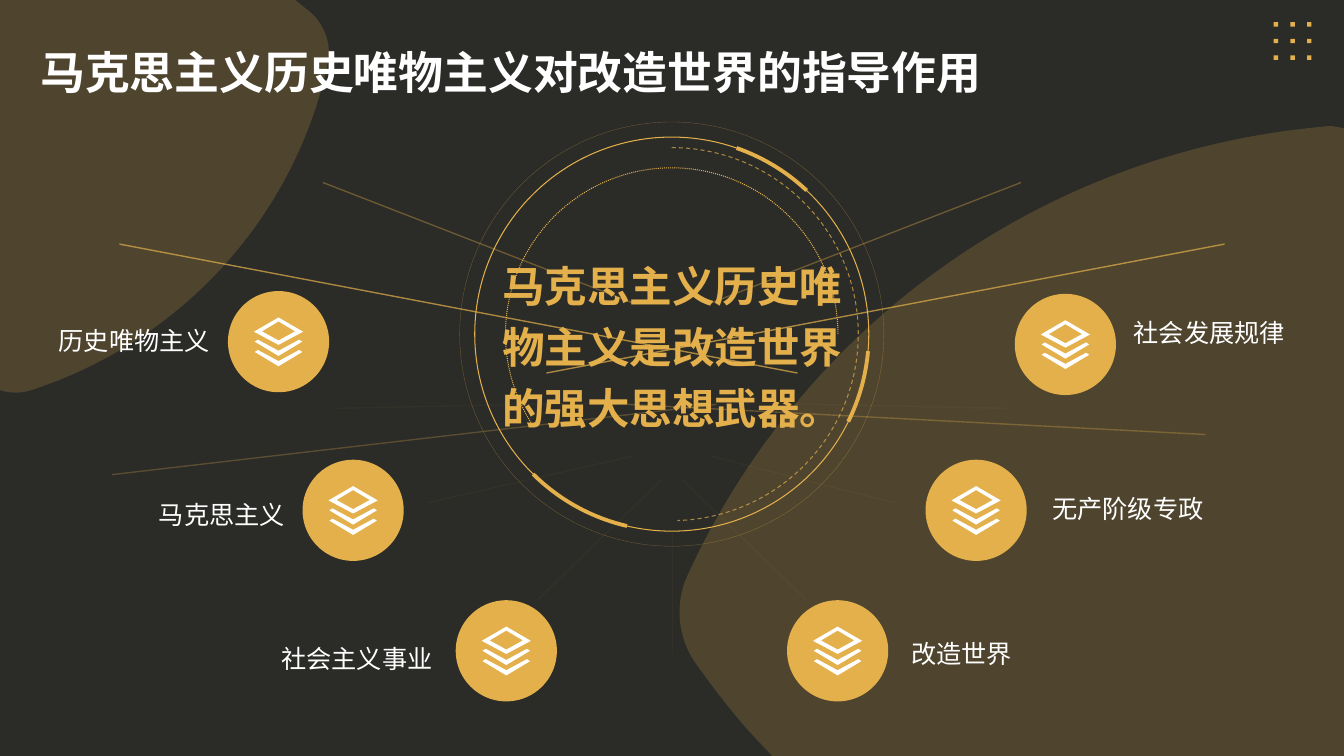
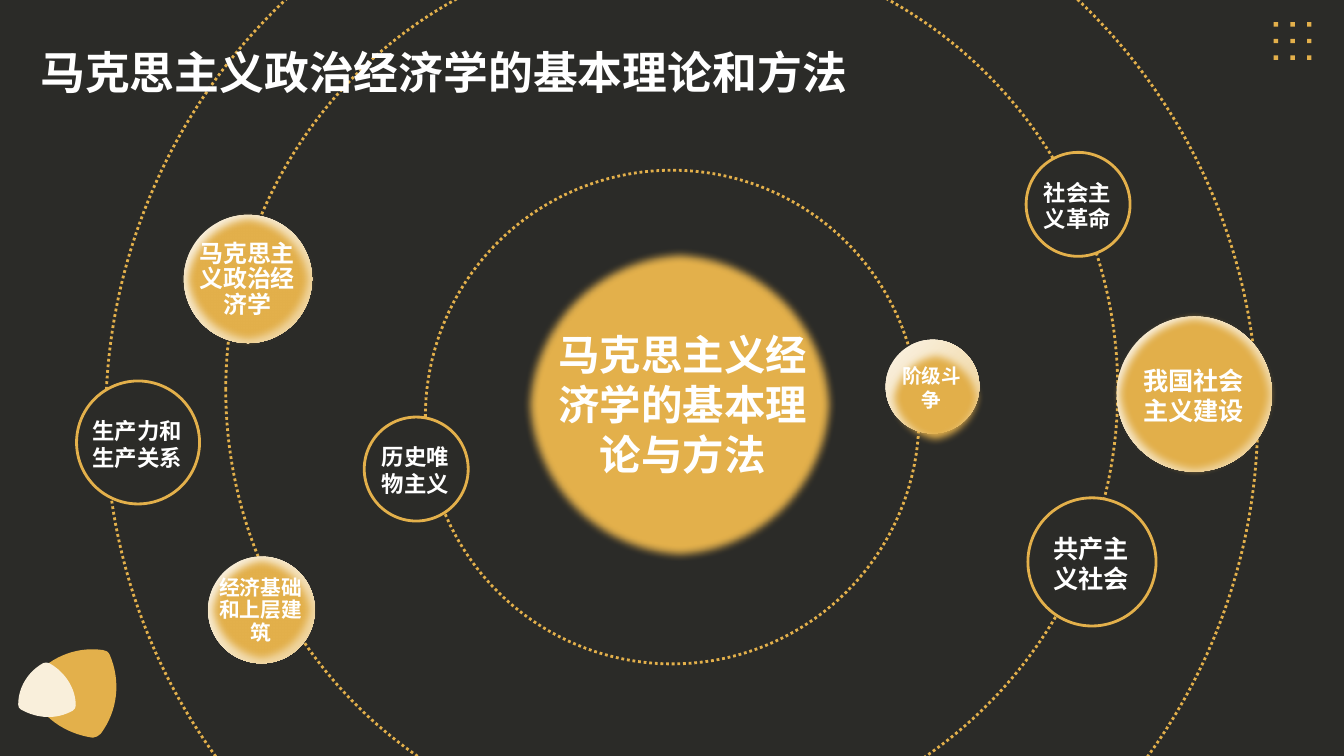
from lxml import etree
from pptx import Presentation
from pptx.dml.color import RGBColor
from pptx.enum.dml import MSO_LINE
from pptx.enum.shapes import MSO_CONNECTOR, MSO_SHAPE
from pptx.enum.text import MSO_ANCHOR, MSO_AUTO_SIZE, PP_ALIGN
from pptx.oxml.ns import qn
from pptx.util import Cm, Pt

ELLIPSE, ARC = MSO_SHAPE.OVAL, MSO_SHAPE.ARC
STRAIGHT = MSO_CONNECTOR.STRAIGHT
DOTTED, DASHED = MSO_LINE.ROUND_DOT, MSO_LINE.DASH
LEFT, CENTER, RIGHT = PP_ALIGN.LEFT, PP_ALIGN.CENTER, PP_ALIGN.RIGHT

FONT = "Noto Sans CJK SC"
COLORS = {
    "dark": "2B2B28",
    "gold": "E3B04B",
    "cream": "F9EFDB",
    "sand": "EED093",
    "white": "FFFFFF",
}
WIDTH, HEIGHT = 33.87, 19.05
SOFT_EDGE = 6

GUIDANCE_TITLE = "马克思主义历史唯物主义对改造世界的指导作用"
GUIDANCE_CORE = "马克思主义历史唯物主义是改造世界的强大思想武器。"
BLOBS = [
    [(0, 0), (7.44, 0), (7.85, 0.33), (8.2, 0.66, 8.36, 1.14, 8.26, 1.6),
     (7.42, 5.49, 4.55, 8.61, 0.79, 9.83), (0.56, 9.91, 0.3, 9.91, 0.1, 9.86), (0, 9.83)],
    [(33.58, 3.18), (WIDTH, 3.23), (WIDTH, HEIGHT), (19.46, HEIGHT), (19.18, 18.75),
     (18.59, 18.14, 18.06, 17.45, 17.55, 16.74), (17.07, 16.08, 16.99, 15.19, 17.35, 14.45),
     (20.27, 8.13, 26.34, 3.84, 33.27, 3.2), (33.38, 3.18, 33.48, 3.18, 33.58, 3.18)],
]
DIAL_CENTER = (16.93, 8.42)
DIAL = [
    (8.38, (88.28, 0), 0.75, DOTTED, 100),
    (10.69, None, 0.25, None, 36),
    (9.4, (161.98, 52.95), 0.75, DASHED, 70),
    (9.93, None, 0.75, None, 100),
    (9.93, (173.53, 187.92), 2.75, None, 100),
    (9.93, (2.98, 15.83), 2.75, None, 100),
    (9.93, (61.88, 80.83), 2.75, None, 100),
]
MIRRORED_RAYS = [
    (17.88, 7.65, 25.73, 4.6, 35),
    (13.77, 9.4, 30.86, 6.15, 70),
    (19.05, 10.16, 25.35, 10.29, 3),
    (17.2, 12.09, 20.32, 15.11, 3),
]
SINGLE_RAYS = [
    (18.06, 10.19, 2.82, 11.96, 25),
    (15.82, 10.19, 30.38, 10.95, 30),
    (16, 11.48, 10.77, 12.67, 3),
    (17.86, 11.48, 22.53, 12.67, 3),
    (16.94, 13.44, 16.94, 16.48, 3),
]
LABEL_WIDTH, LABEL_HEIGHT = 4.6, 1.17
TOPICS = [
    ("历史唯物主义", 7.02, 8.61, RIGHT, 5.54, 8.0),
    ("马克思主义", 8.9, 12.86, RIGHT, 7.43, 12.37),
    ("社会主义事业", 12.76, 16.4, RIGHT, 11.15, 16.0),
    ("改造世界", 21.11, 16.4, LEFT, 22.71, 15.88),
    ("无产阶级专政", 24.6, 12.86, LEFT, 26.27, 12.22),
    ("社会发展规律", 26.85, 8.68, LEFT, 28.32, 7.8),
]
CHEVRON = [(0.52, -0.05), (0.6, 0), (0, 0.36), (-0.6, 0), (-0.52, -0.05), (0, 0.23)]
LAYERS = [
    [(x, y + 0.26) for x, y in CHEVRON],
    CHEVRON,
    [(0, -0.61), (0.62, -0.25), (0, 0.08), (-0.62, -0.25)],
    [(0, -0.51), (-0.42, -0.26), (0, -0.03), (0.42, -0.26)],
]

ECONOMY_TITLE = "马克思主义政治经济学的基本理论和方法"
ECONOMY_CORE = "马克思主义经济学的基本理论与方法"
ORBITS = [(16.93, 9.82, 22.48), (16.94, 10.51, 12.44), (17.18, 10.53, 29.03)]
OUTLINED_PLANETS = [
    ("共产主义社会", 27.52, 14.16, 3.23, 18),
    ("历史唯物主义", 10.49, 11.82, 2.62, 16),
    ("社会主义革命", 27.17, 5.15, 2.62, 16),
    ("生产力和生产关系", 3.48, 11.15, 3.1, 16),
]
GLOWING_PLANETS = [
    ("马克思主义政治经济学", 6.25, 7.03, 3.23, 17.1, 0.9, (0, 0)),
    ("阶级斗争", 23.5, 9.74, 2.36, 14, 1, (0.08, 0.28)),
    ("经济基础和上层建筑", 6.59, 15.37, 2.69, 14.8, 0.9, (0, 0)),
    ("我国社会主义建设", 30.1, 9.93, 3.91, 18, 1, (0, 0)),
]
PETALS = [
    ("gold", [(2.77, 16.51), (3.05, 17.17, 2.97, 17.91, 2.54, 18.49),
              (2.49, 18.54, 2.41, 18.59, 2.34, 18.59), (1.63, 18.49, 1.02, 18.06, 0.74, 17.4),
              (0.71, 17.32, 0.71, 17.22, 0.76, 17.17), (1.19, 16.59, 1.88, 16.28, 2.59, 16.38),
              (2.67, 16.38, 2.74, 16.43, 2.77, 16.51)]),
    ("cream", [(1.24, 16.71), (1.65, 16.94, 1.91, 17.35, 1.91, 17.78),
               (1.91, 17.83, 1.88, 17.88, 1.83, 17.91), (1.42, 18.14, 0.94, 18.11, 0.53, 17.88),
               (0.48, 17.86, 0.46, 17.81, 0.46, 17.75), (0.46, 17.32, 0.71, 16.92, 1.09, 16.71),
               (1.14, 16.69, 1.19, 16.69, 1.24, 16.71)]),
]


def color(name):
    return RGBColor.from_string(COLORS[name])


def set_alpha(shape, percent):
    if percent < 100:
        for item in shape.element.spPr.iter(qn("a:srgbClr")):
            etree.SubElement(item, qn("a:alpha")).set("val", str(percent * 1000))


def style_shape(shape, fill=None, line=None, weight=1, dash=None, alpha=100):
    shape.shadow.inherit = False
    if fill:
        shape.fill.solid()
        shape.fill.fore_color.rgb = color(fill)
    else:
        shape.fill.background()
    if line:
        shape.line.color.rgb = color(line)
        shape.line.width = Pt(weight)
        if dash:
            shape.line.dash_style = dash
    else:
        shape.line.fill.background()
    set_alpha(shape, alpha)


def add_round(page, x, y, size, kind=ELLIPSE, **style):
    shape = page.shapes.add_shape(kind, Cm(x - size / 2), Cm(y - size / 2), Cm(size), Cm(size))
    style_shape(shape, **style)
    return shape


def soften(shape):
    effects = shape.element.spPr.find(qn("a:effectLst"))
    etree.SubElement(effects, qn("a:softEdge")).set("rad", str(Pt(SOFT_EDGE)))


def bend(shape, parts):
    segments = iter(list(shape.element.spPr.iter(qn("a:lnTo"))))
    for part in parts:
        segment = next(segments)
        if len(part) == 6:
            segment.tag = qn("a:cubicBezTo")
            for follower in (next(segments), next(segments)):
                follower.getparent().remove(follower)
                segment.append(follower[0])


def add_outline(page, outlines, fill, alpha=100, x=0, y=0):
    builder = None
    for outline in outlines:
        points = [(Cm(x + part[i]), Cm(y + part[i + 1]))
                  for part in outline for i in range(0, len(part), 2)]
        if builder is None:
            builder = page.shapes.build_freeform(*points[0])
        else:
            builder.move_to(*points[0])
        builder.add_line_segments(points[1:], close=True)
    shape = builder.convert_to_shape()
    bend(shape, [part for outline in outlines for part in outline[1:]])
    style_shape(shape, fill=fill, alpha=alpha)


def write_text(box, text, size, ink="white", bold=True, align=CENTER, spacing=1.0):
    frame = box.text_frame
    frame.word_wrap = True
    frame.auto_size = MSO_AUTO_SIZE.NONE
    frame.vertical_anchor = MSO_ANCHOR.MIDDLE
    para = frame.paragraphs[0]
    para.text = text
    para.alignment = align
    para.line_spacing = spacing
    para.space_before = Pt(0)
    para.font.size = Pt(size)
    para.font.bold = bold
    para.font.name = FONT
    para.font.color.rgb = color(ink)
    for properties in box.element.iter(qn("a:defRPr")):
        etree.SubElement(properties, qn("a:ea")).set("typeface", FONT)


def add_text(page, x, y, width, height, text, size, inset=True, **style):
    box = page.shapes.add_textbox(Cm(x), Cm(y), Cm(width), Cm(height))
    write_text(box, text, size, **style)
    if not inset:
        frame = box.text_frame
        frame.margin_left = frame.margin_top = frame.margin_right = frame.margin_bottom = 0


def add_ray(page, x1, y1, x2, y2, alpha):
    ray = page.shapes.add_connector(STRAIGHT, Cm(x1), Cm(y1), Cm(x2), Cm(y2))
    ray.line.color.rgb = color("gold")
    ray.line.width = Pt(1)
    set_alpha(ray, alpha)
    etree.SubElement(ray.element.spPr, qn("a:effectLst"))


def add_heading(page, text):
    side, pitch = 0.11, 0.42
    square = [(0, 0), (side, 0), (side, side), (0, side)]
    dots = [[(x + col * pitch, y + row * pitch) for x, y in square]
            for row in range(3) for col in range(3)]
    add_outline(page, dots, "gold", x=32.1, y=0.56)
    title = page.shapes.title
    title.left, title.top, title.width, title.height = Cm(0.76), Cm(0.66), Cm(32.41), Cm(2.01)
    write_text(title, text, 32, align=LEFT, spacing=1.2)
    title.element.getparent().append(title.element)


def build_guidance(page):
    for blob in BLOBS:
        add_outline(page, [blob], "gold", alpha=20)
    for size, angles, weight, dash, alpha in DIAL:
        ring = add_round(page, *DIAL_CENTER, size, kind=ARC if angles else ELLIPSE,
                         line="gold", weight=weight, dash=dash, alpha=alpha)
        if angles:
            ring.adjustments[0], ring.adjustments[1] = angles
    for x1, y1, x2, y2, alpha in MIRRORED_RAYS:
        add_ray(page, x1, y1, x2, y2, alpha)
        add_ray(page, WIDTH - x1, y1, WIDTH - x2, y2, alpha)
    for ray in SINGLE_RAYS:
        add_ray(page, *ray)
    add_text(page, 12.36, 5.9, 9.17, 5.41, GUIDANCE_CORE, 30.4, ink="gold", spacing=1.2)
    for text, x, y, align, edge, top in TOPICS:
        add_round(page, x, y, 2.55, fill="gold")
        add_outline(page, LAYERS, "white", x=x, y=y)
        left = edge - LABEL_WIDTH if align == RIGHT else edge
        add_text(page, left, top, LABEL_WIDTH, LABEL_HEIGHT, text, 18, bold=False, align=align)
    add_heading(page, GUIDANCE_TITLE)


def add_planet_text(page, x, y, size, text, points, spacing=1.0):
    width, height = size * 0.785, size * 0.65
    add_text(page, x - width / 2 - 0.02, y - height / 2 + 0.03, width, height, text, points,
             inset=False, spacing=spacing)


def build_economy(page):
    for orbit in ORBITS:
        add_round(page, *orbit, line="gold", weight=2, dash=DOTTED)
    for text, x, y, size, points in OUTLINED_PLANETS:
        add_round(page, x, y, size, fill="dark", line="gold", weight=2)
        add_planet_text(page, x, y, size, text, points)
    for text, x, y, size, points, spacing, (dx, dy) in GLOWING_PLANETS:
        halo = add_round(page, x, y, size)
        halo.fill.gradient()
        halo.fill.gradient_angle = 315
        for stop, name, position in zip(halo.fill.gradient_stops, ("cream", "sand"), (0.14, 1)):
            stop.color.rgb = color(name)
            stop.position = position
        soften(add_round(page, x + dx, y + dy, size * 1.07, fill="gold"))
        add_planet_text(page, x, y, size, text, points, spacing)
    soften(add_round(page, 17.12, 10.2, 7.92, fill="gold"))
    add_text(page, 13.98, 7.98, 6.45, 4.39, ECONOMY_CORE, 29.6, inset=False)
    for fill, petal in PETALS:
        add_outline(page, [petal], fill)
    add_heading(page, ECONOMY_TITLE)


def main():
    deck = Presentation()
    deck.slide_width, deck.slide_height = Cm(WIDTH), Cm(HEIGHT)
    backdrop = deck.slide_master.background.fill
    backdrop.solid()
    backdrop.fore_color.rgb = color("dark")
    for build in (build_guidance, build_economy):
        build(deck.slides.add_slide(deck.slide_layouts[5]))
    deck.save("out.pptx")


if __name__ == "__main__":
    main()
